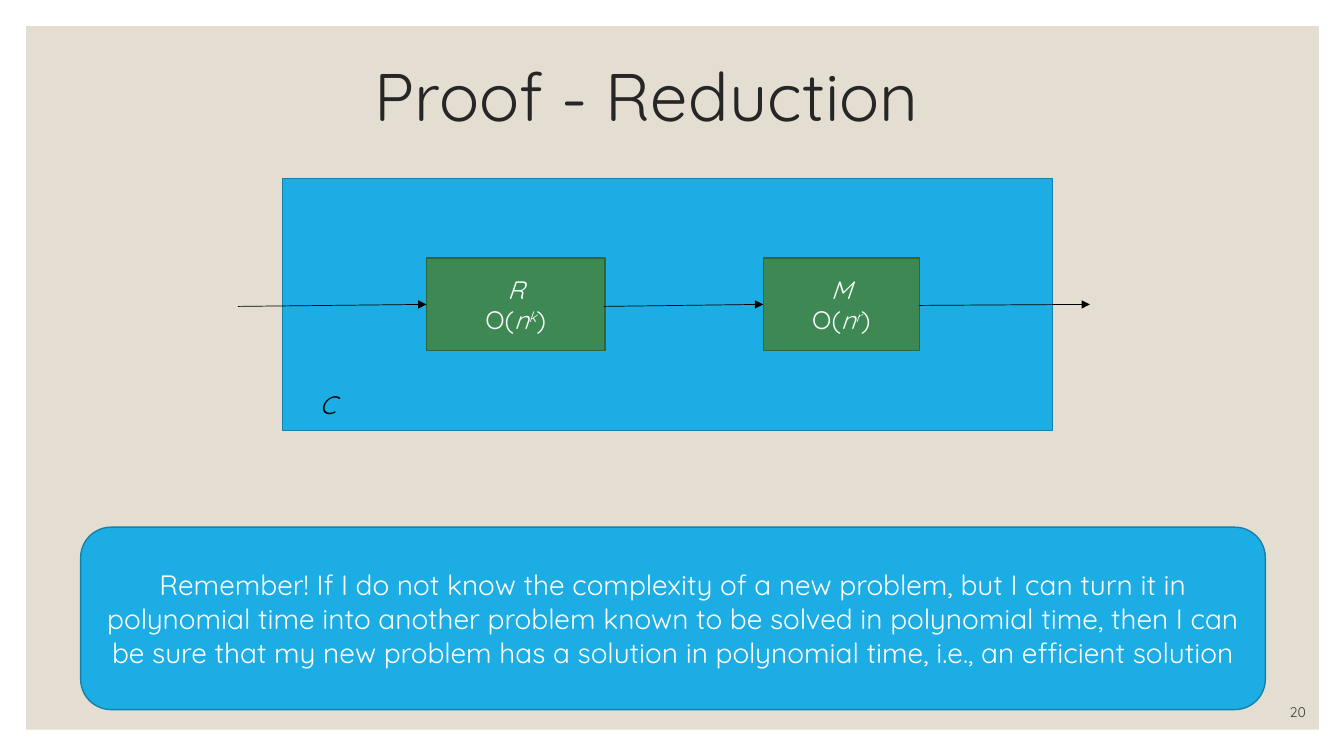
import pptx
import pptx.util
import pptx.dml.color
import pptx.enum.shapes
import pptx.enum.text
import pptx.oxml
import pptx.oxml.ns

Inches = pptx.util.Inches
SHAPE = pptx.enum.shapes.MSO_SHAPE
ALIGN = pptx.enum.text.PP_ALIGN
ANCHOR = pptx.enum.text.MSO_ANCHOR

COLORS = {
    "panel": "E3DED1", "blue": "1CADE4", "blue_edge": "1580A9",
    "green": "3E8853", "green_edge": "2E653D", "white": "FFFFFF",
    "black": "000000", "title": "262626", "number": "404040",
}
FONT = "Quicksand"
ITALIC = {"italic": True}


def machine(name, power):
    return [[(name, ITALIC)],
            [("O(", {}), ("n", ITALIC), (power, {"italic": True, "raised": True}), (")", {})]]


REMINDER = (
    "Remember! If I do not know the complexity of a new problem, but I can turn it in "
    "polynomial time into another problem known to be solved in polynomial time, then I can "
    "be sure that my new problem has a solution in polynomial time, i.e., an efficient solution"
)
SHAPES = [
    {"kind": SHAPE.RECTANGLE, "box": (0.26, 0.26, 12.82, 6.98), "fill": "panel"},
    {"box": (3.62, 0.44, 6.08, 1.09), "text": [[("Proof - Reduction", {})]],
     "size": 48, "color": "title", "align": ALIGN.LEFT, "spacing": 0.9},
    {"kind": SHAPE.RECTANGLE, "box": (2.8, 1.77, 7.64, 2.5), "fill": "blue", "edge": "blue_edge"},
    {"kind": SHAPE.RECTANGLE, "box": (4.23, 2.56, 1.77, 0.92), "fill": "green",
     "edge": "green_edge", "text": machine("R", "k")},
    {"kind": SHAPE.RECTANGLE, "box": (7.57, 2.56, 1.55, 0.92), "fill": "green",
     "edge": "green_edge", "text": machine("M", "r")},
    {"box": (3.07, 3.81, 0.75, 0.4), "text": [[("C", ITALIC)]],
     "color": "black", "align": ALIGN.LEFT, "anchor": ANCHOR.TOP},
    {"kind": SHAPE.ROUNDED_RECTANGLE, "box": (0.8, 5.23, 11.75, 1.81), "fill": "blue",
     "edge": "blue_edge", "text": [[(REMINDER, {})]], "size": 20},
    {"box": (11.45, 6.9, 1.6, 0.3), "text": [[("20", {})]], "size": 10,
     "color": "number", "align": ALIGN.RIGHT, "anchor": ANCHOR.BOTTOM},
]
ARROWS = [(2.36, 3.04, 4.23, 3.02), (5.99, 3.04, 7.57, 3.02), (9.12, 3.03, 10.81, 3.02)]


def rgb(name):
    return pptx.dml.color.RGBColor.from_string(COLORS[name])


def add_text(sp, item):
    tf = sp.text_frame
    tf.word_wrap = True
    tf.vertical_anchor = item.get("anchor", ANCHOR.MIDDLE)
    for i, runs in enumerate(item["text"]):
        p = tf.add_paragraph() if i else tf.paragraphs[0]
        p.alignment = item.get("align", ALIGN.CENTER)
        p.line_spacing = item.get("spacing", 1.0)
        for text, style in runs:
            r = p.add_run()
            r.text = text
            formats = {"name": FONT, "size": pptx.util.Pt(item.get("size", 18)),
                       "italic": style.get("italic", False)}
            for key, value in formats.items():
                setattr(r.font, key, value)
            r.font.color.rgb = rgb(item.get("color", "white"))
            if style.get("raised"):
                r._r.get_or_add_rPr().set("baseline", "30000")


def add_item(s, item):
    box = [Inches(v) for v in item["box"]]
    if "kind" in item:
        sp = s.shapes.add_shape(item["kind"], *box)
        sp.shadow.inherit = False
        sp.fill.solid()
        sp.fill.fore_color.rgb = rgb(item["fill"])
        if "edge" in item:
            sp.line.color.rgb = rgb(item["edge"])
            sp.line.width = pptx.util.Pt(1)
        else:
            sp.line.fill.background()
    else:
        sp = s.shapes.add_textbox(*box)
    if "text" in item:
        add_text(sp, item)


def add_arrow(s, ends):
    sp = s.shapes.add_connector(
        pptx.enum.shapes.MSO_CONNECTOR.STRAIGHT, *[Inches(v) for v in ends])
    sp.line.color.rgb = rgb("black")
    sp.line.width = pptx.util.Pt(0.5)
    ln = sp.line._get_or_add_ln()
    tail = pptx.oxml.parse_xml(
        f'<a:tailEnd {pptx.oxml.ns.nsdecls("a")} type="triangle"/>')
    ln.append(tail)
    effects = pptx.oxml.parse_xml(f'<a:effectLst {pptx.oxml.ns.nsdecls("a")}/>')
    sp._element.spPr.append(effects)


def main():
    prs = pptx.Presentation()
    prs.slide_width, prs.slide_height = Inches(13.33), Inches(7.5)
    s = prs.slides.add_slide(prs.slide_layouts[6])
    s.background.fill.solid()
    s.background.fill.fore_color.rgb = rgb("white")
    for item in SHAPES:
        add_item(s, item)
    for ends in ARROWS:
        add_arrow(s, ends)
    prs.save("out.pptx")


if __name__ == "__main__":
    main()
